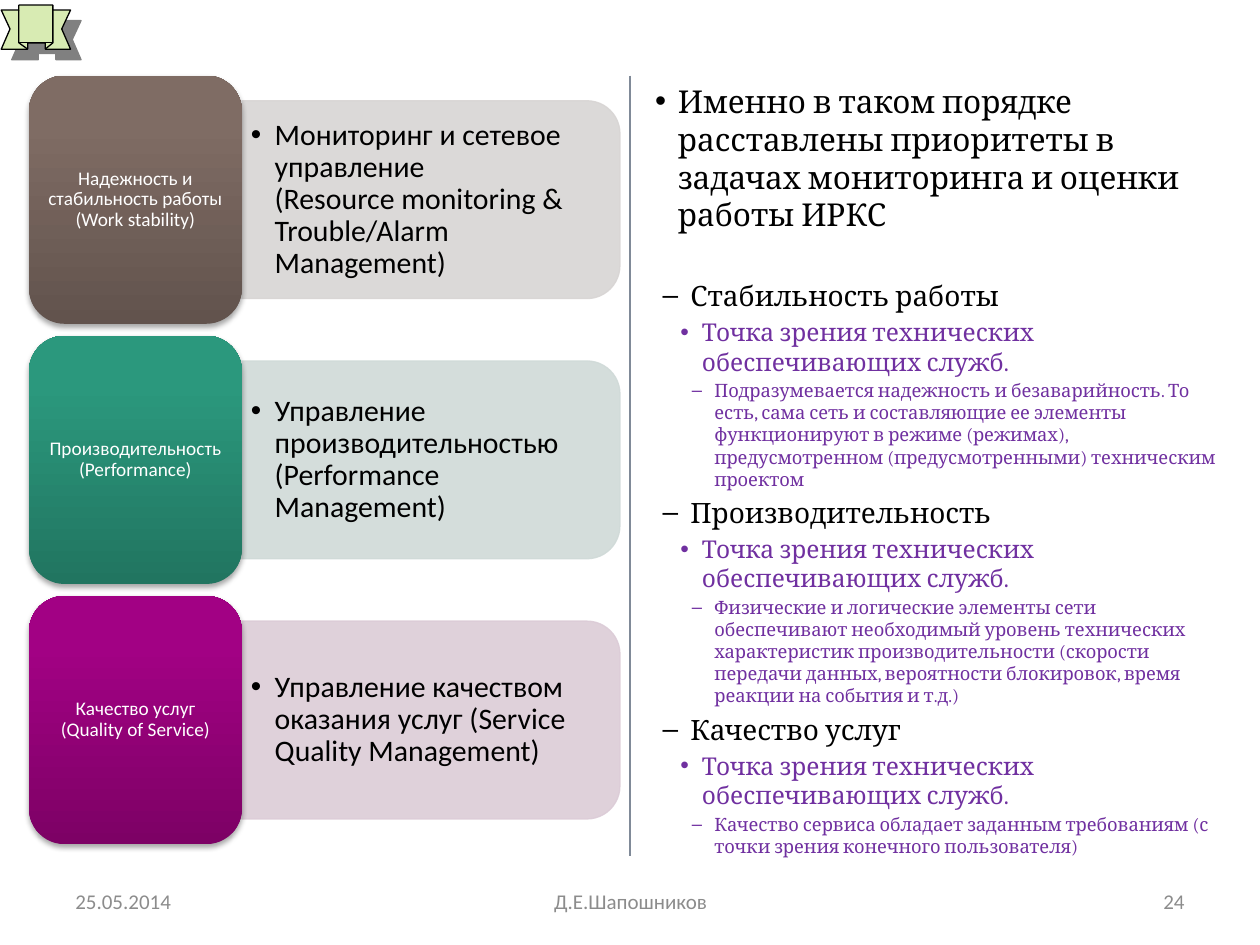
from copy import deepcopy

from lxml.etree import SubElement
from pptx import Presentation
from pptx.dml.color import RGBColor
from pptx.enum.shapes import MSO_CONNECTOR, MSO_SHAPE
from pptx.enum.text import MSO_ANCHOR, MSO_AUTO_SIZE, PP_ALIGN
from pptx.oxml.ns import qn
from pptx.util import Emu, Inches, Pt

BLACK = RGBColor(0x00, 0x00, 0x00)
WHITE = RGBColor(0xFF, 0xFF, 0xFF)
GREY = RGBColor(0x8C, 0x8C, 0x8C)
DIVIDER = RGBColor(0x80, 0x8A, 0x98)
PURPLE = RGBColor(0x70, 0x30, 0xA0)
RIBBON = RGBColor(0xD8, 0xEB, 0xB3)

# label, description, gradient (bottom to top), panel colour
PRIORITIES = [
    ("Надежность и стабильность работы\v(Work stability)",
     "Мониторинг и сетевое управление\v(Resource monitoring & Trouble/Alarm Management)",
     [RGBColor(0x62, 0x53, 0x4D), RGBColor(0x7F, 0x6C, 0x64), RGBColor(0x80, 0x6D, 0x63)],
     RGBColor(0xD8, 0xD5, 0xD4)),
    ("Производительность (Performance)",
     "Управление производительностью\v(Performance Management)",
     [RGBColor(0x21, 0x75, 0x60), RGBColor(0x2B, 0x98, 0x7D), RGBColor(0x29, 0x9A, 0x7E)],
     RGBColor(0xD0, 0xDA, 0xD8)),
    ("Качество услуг\v(Quality of Service)",
     "Управление качеством оказания услуг (Service Quality Management)",
     [RGBColor(0x7D, 0x01, 0x65), RGBColor(0xA2, 0x01, 0x84), RGBColor(0xA4, 0x00, 0x85)],
     RGBColor(0xDC, 0xCC, 0xD7)),
]
GRADIENT_POSITIONS = (0, 0.8, 1)

VIEWPOINT = "Точка зрения технических обеспечивающих служб."
OUTLINE = [
    (0, "Именно в таком порядке расставлены приоритеты в задачах мониторинга и оценки работы ИРКС"),
    (1, "Стабильность работы"),
    (2, VIEWPOINT),
    (3, "Подразумевается надежность и безаварийность. То есть, сама сеть и составляющие ее элементы "
        "функционируют в режиме (режимах), предусмотренном (предусмотренными) техническим проектом"),
    (1, "Производительность"),
    (2, VIEWPOINT),
    (3, "Физические и логические элементы сети обеспечивают необходимый уровень технических "
        "характеристик производительности (скорости передачи данных, вероятности блокировок, "
        "время реакции на события и т.д.)"),
    (1, "Качество услуг"),
    (2, VIEWPOINT),
    (3, "Качество сервиса обладает заданным требованиям (с точки зрения конечного пользователя)"),
]
# bullet, size, colour, left margin, hanging indent
LEVELS = [
    ("•", 18, BLACK, 0.2, 0.18),
    ("–", 16, BLACK, 0.3, 0.22),
    ("•", 14, PURPLE, 0.39, 0.17),
    ("–", 10.5, PURPLE, 0.49, 0.18),
]
INTRO_GAP = 26

# text, left, width, alignment
FOOTER = [
    ("25.05.2014", 0.5, 2.33, PP_ALIGN.LEFT),
    ("Д.Е.Шапошников", 3.42, 3.17, PP_ALIGN.CENTER),
    ("24", 7.17, 2.33, PP_ALIGN.RIGHT),
]

# hundredths of an inch
RIBBON_EDGE = [(1, 39), (22, 39), (22, 34), (36, 34), (36, 39), (56, 39), (49, 23), (56, 8),
               (42, 8), (42, 4), (15, 4), (15, 8), (1, 8), (8, 23)]
RIBBON_FOLDS = [[(22, 39), (15, 34), (15, 8)], [(22, 34), (15, 34)],
                [(36, 39), (42, 34), (42, 8)], [(36, 34), (42, 34)]]

TOP, PITCH = 0.6, 2.065
CARD_LEFT, CARD_W, CARD_H = 0.23, 1.69, 1.97
PANEL_W, PANEL_H = 3, 1.57
TEXT_W, TEXT_H = 2.92, 1.42


def add_shadow(sp, color, alpha, blur, dist, angle):
    sp.shadow.inherit = False
    effects = sp._element.spPr.find(qn("a:effectLst"))
    shadow = SubElement(effects, qn("a:outerShdw"), blurRad=str(Pt(blur)), dist=str(Pt(dist)),
                        dir=str(angle * 60000), algn="ctr", rotWithShape="0")
    rgb = SubElement(shadow, qn("a:srgbClr"), val=color)
    SubElement(rgb, qn("a:alpha"), val=str(alpha * 1000))


def fill_gradient(sp, colors):
    sp.fill.gradient()
    sp.fill.gradient_angle = 90
    stops = sp._element.spPr.find(".//" + qn("a:gsLst"))
    stops.append(deepcopy(stops[0]))
    for stop, color, position in zip(sp.fill.gradient_stops, colors, GRADIENT_POSITIONS):
        stop.color.rgb = color
        stop.position = position


def set_margins(tf, x, y):
    tf.margin_left = tf.margin_right = Inches(x)
    tf.margin_top = tf.margin_bottom = Inches(y)


def set_bullet(p, char, margin, hanging):
    pPr = p._p.get_or_add_pPr()
    pPr.set("marL", str(Inches(margin)))
    pPr.set("indent", str(-Inches(hanging)))
    SubElement(pPr, qn("a:buFont"), typeface="Arial")
    SubElement(pPr, qn("a:buChar"), char=char)


def style(p, font, size, color):
    for r in p.runs:
        r.font.name, r.font.size = font, Pt(size)
        r.font.color.rgb = color


def add_text(slide, text, left, top, width, height):
    tf = slide.shapes.add_textbox(*map(Inches, (left, top, width, height))).text_frame
    tf.word_wrap = True
    tf.vertical_anchor = MSO_ANCHOR.MIDDLE
    tf.paragraphs[0].text = text
    return tf


def add_outline(slide, contours, close):
    """Draw one black-edged freeform from lists of points."""
    (x, y), *_ = contours[0]
    builder = slide.shapes.build_freeform(x, y, scale=Inches(0.01))
    for i, (start, *rest) in enumerate(contours):
        if i:
            builder.move_to(*start)
        builder.add_line_segments(rest, close=close)
    sp = builder.convert_to_shape(Emu(0), Emu(0))
    sp.shadow.inherit = False
    sp.line.color.rgb, sp.line.width = BLACK, Pt(0.75)
    return sp


def add_ribbon(slide):
    sp = add_outline(slide, [RIBBON_EDGE], True)
    sp.fill.solid()
    sp.fill.fore_color.rgb = RIBBON
    add_shadow(sp, "808080", 100, 0, 8.5, 45)
    add_outline(slide, RIBBON_FOLDS, False).fill.background()


def add_priority(slide, row, label, description, gradient, panel_color):
    top = TOP + row * PITCH
    middle = top + CARD_H / 2
    right = CARD_LEFT + CARD_W

    # The panel is rotated about its centre, so its sides are swapped.
    panel = slide.shapes.add_shape(
        MSO_SHAPE.ROUND_2_SAME_RECTANGLE,
        Inches(right + (PANEL_W - PANEL_H) / 2), Inches(middle - PANEL_W / 2),
        Inches(PANEL_H), Inches(PANEL_W))
    panel.rotation = 90
    panel.shadow.inherit = False
    panel.fill.solid()
    panel.fill.fore_color.rgb = panel.line.color.rgb = panel_color
    panel.line.width = Pt(0.75)
    for rgb in panel._element.spPr.iter(qn("a:srgbClr")):
        SubElement(rgb, qn("a:alpha"), val="90000")

    tf = add_text(slide, description, right, middle - TEXT_H / 2, TEXT_W, TEXT_H)
    set_margins(tf, 0.07, 0.04)
    p = tf.paragraphs[0]
    p.line_spacing = 0.9
    set_bullet(p, "•", 0.19, 0.19)
    style(p, "Calibri", 17, BLACK)

    card = slide.shapes.add_shape(MSO_SHAPE.ROUNDED_RECTANGLE,
                                  *map(Inches, (CARD_LEFT, top, CARD_W, CARD_H)))
    fill_gradient(card, gradient)
    card.line.fill.background()
    add_shadow(card, "000000", 35, 3.1, 1.8, 90)
    tf = card.text_frame
    tf.word_wrap = True
    tf.vertical_anchor = MSO_ANCHOR.MIDDLE
    set_margins(tf, 0.05, 0.02)
    p = tf.paragraphs[0]
    p.text = label
    p.alignment = PP_ALIGN.CENTER
    p.line_spacing = 0.9
    style(p, "Calibri", 11, WHITE)


def fill_body(body):
    body.left, body.top, body.width, body.height = map(Inches, (5.08, TOP, 4.68, 6.1))
    tf = body.text_frame
    tf.auto_size = MSO_AUTO_SIZE.NONE
    for i, (level, text) in enumerate(OUTLINE):
        bullet, size, color, margin, hanging = LEVELS[level]
        p = tf.add_paragraph() if i else tf.paragraphs[0]
        p.text, p.level = text, level
        gaps = {0: 0, 1: INTRO_GAP}
        p.space_before = Pt(gaps.get(i, size * 0.2))
        set_bullet(p, bullet, margin, hanging)
        style(p, "Cambria", size, color)


def main():
    prs = Presentation()
    prs.slide_width, prs.slide_height = Inches(10), Inches(7.5)
    slide = prs.slides.add_slide(prs.slide_layouts[1])
    title = slide.shapes.title._element
    title.getparent().remove(title)
    fill_body(slide.placeholders[1])

    add_ribbon(slide)
    divider = slide.shapes.add_connector(MSO_CONNECTOR.STRAIGHT,
                                         *map(Inches, (5, TOP, 5, 6.79)))
    divider.line.color.rgb, divider.line.width = DIVIDER, Pt(0.75)
    SubElement(divider._element.spPr, qn("a:effectLst"))

    for row, priority in enumerate(PRIORITIES):
        add_priority(slide, row, *priority)
    for text, left, width, alignment in FOOTER:
        p = add_text(slide, text, left, 6.95, width, 0.4).paragraphs[0]
        p.alignment = alignment
        style(p, "Calibri", 12, GREY)
    prs.save("out.pptx")


if __name__ == "__main__":
    main()
